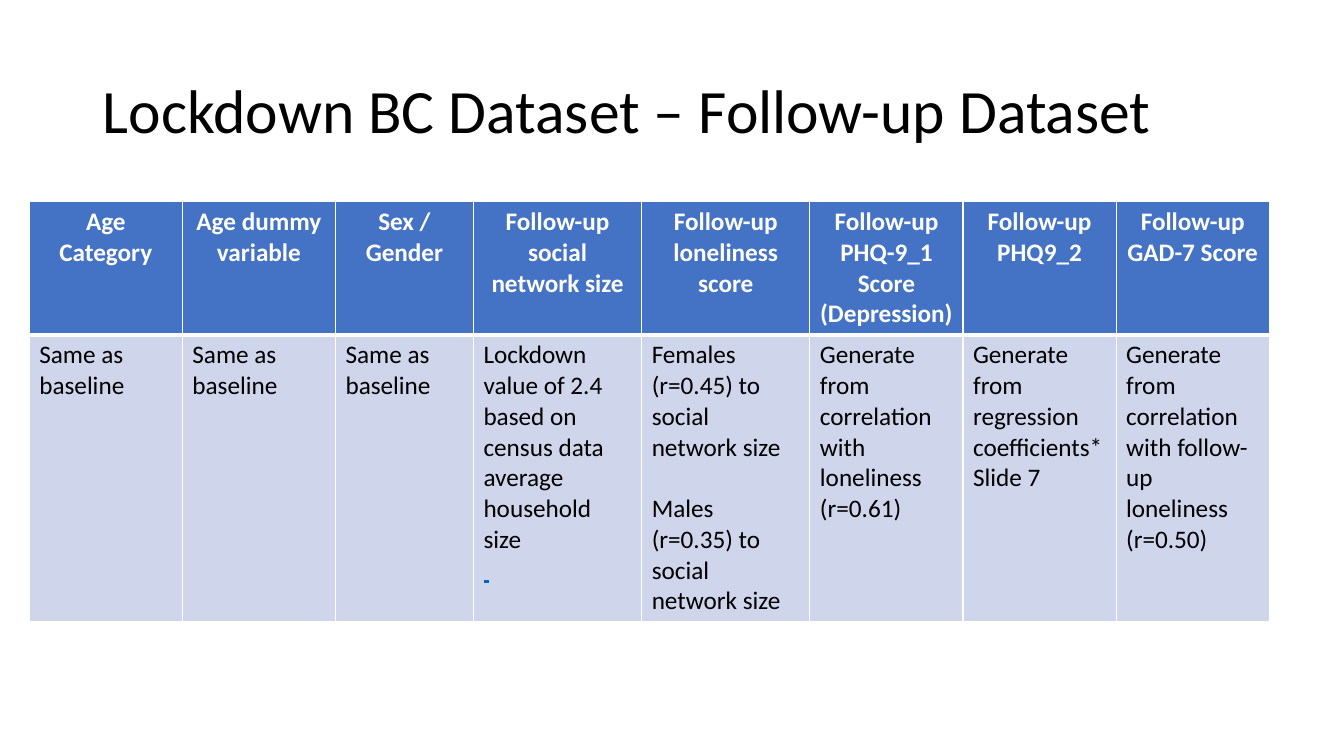
from dataclasses import dataclass

from lxml import etree
from pptx import Presentation
from pptx import util as u
from pptx.dml.color import RGBColor
from pptx.enum import text
from pptx.oxml import ns


@dataclass(frozen=True)
class Theme:
    font: str = "Calibri"
    title_size: int = 44
    table_size: int = 18
    ink: str = "000000"
    paper: str = "FFFFFF"
    header: str = "4472C4"
    body: str = "CFD5EA"
    link: str = "0563C1"
    rule: float = 1
    header_rule: float = 3
    blank_line: float = 22


THEME = Theme()
SLIDE_WIDTH, SLIDE_HEIGHT = 13.33, 7.5
TITLE_BOX = (0.92, 0.4, 11.5, 1.45)
TABLE_BOX = (0.29, 2, 12.3, 4.15)
HEADER_SHARE = 0.316

# Relative column width, header paragraphs, body paragraphs
COLUMNS = [
    (1.52, ["Age Category"], ["Same as baseline"]),
    (1.52, ["Age dummy variable"], ["Same as baseline"]),
    (1.37, ["Sex / Gender"], ["Same as baseline"]),
    (1.67, ["Follow-up social network size"],
     ["Lockdown value of 2.4 based on census data average household size", " "]),
    (1.67, ["Follow-up loneliness score"],
     ["Females (r=0.45) to social network size",
      "Males (r=0.35) to social network size"]),
    (1.52, ["Follow-up PHQ-9_1 Score", "(Depression)"],
     ["Generate from correlation with loneliness (r=0.61)"]),
    (1.52, ["Follow-up PHQ9_2"],
     ["Generate from regression coefficients* Slide 7"]),
    (1.52, ["Follow-up GAD-7 Score"],
     ["Generate from correlation with follow-up loneliness", "(r=0.50)"]),
]


def style_font(font, size, color, bold=False):
    font.name = THEME.font
    font.size = u.Pt(size)
    font.bold = bold
    font.color.rgb = RGBColor.from_string(color)


def add_title(slide, box, wording):
    title = slide.shapes.title
    title.left, title.top, title.width, title.height = map(u.Inches, box)
    frame = title.text_frame
    frame.text = wording
    frame.word_wrap = True
    frame.auto_size = text.MSO_AUTO_SIZE.NONE
    frame.vertical_anchor = text.MSO_ANCHOR.MIDDLE
    paragraph = frame.paragraphs[0]
    paragraph.alignment = text.PP_ALIGN.LEFT
    paragraph.line_spacing = 0.9
    style_font(paragraph.runs[0].font, THEME.title_size, THEME.ink)


def set_borders(cell, widths):
    """Draw the cell borders, given in the order left, right, top, bottom."""
    properties = cell._tc.get_or_add_tcPr()
    for side, width in zip("LRTB", widths):
        line = etree.SubElement(properties, ns.qn(f"a:ln{side}"), w=str(u.Pt(width)))
        fill = etree.SubElement(line, ns.qn("a:solidFill"))
        etree.SubElement(fill, ns.qn("a:srgbClr"), val=THEME.paper)


def fill_cell(cell, lines, is_header):
    rule, thick = THEME.rule, THEME.header_rule
    set_borders(cell, (rule, rule, rule, thick) if is_header else (rule, rule, thick, rule))
    cell.fill.solid()
    cell.fill.fore_color.rgb = RGBColor.from_string(THEME.header if is_header else THEME.body)
    cell.text_frame.text = "\n".join(lines)
    color = THEME.paper if is_header else THEME.ink
    for paragraph in cell.text_frame.paragraphs:
        paragraph.alignment = text.PP_ALIGN.CENTER if is_header else text.PP_ALIGN.LEFT
        for run in paragraph.runs:
            style_font(run.font, THEME.table_size, color, is_header)


def add_dataset_table(slide, box):
    left, top, width, height = map(u.Inches, box)
    table = slide.shapes.add_table(2, len(COLUMNS), left, top, width, height).table
    table.rows[0].height = int(height * HEADER_SHARE)
    table.rows[1].height = height - table.rows[0].height
    total = sum(share for share, _, _ in COLUMNS)

    for index, (share, header, body) in enumerate(COLUMNS):
        table.columns[index].width = int(width * share / total)
        fill_cell(table.cell(0, index), header, True)
        fill_cell(table.cell(1, index), body, False)

    # Underlined link mark below the network size
    mark = table.cell(1, 3).text_frame.paragraphs[1].runs[0].font
    mark.underline = True
    mark.color.rgb = RGBColor.from_string(THEME.link)

    # One line of space between females and males
    males = table.cell(1, 4).text_frame.paragraphs[1]
    males.space_before = u.Pt(THEME.blank_line)


def main():
    presentation = Presentation()
    presentation.slide_width = u.Inches(SLIDE_WIDTH)
    presentation.slide_height = u.Inches(SLIDE_HEIGHT)
    slide = presentation.slides.add_slide(presentation.slide_layouts[5])
    add_title(slide, TITLE_BOX, "Lockdown BC Dataset – Follow-up Dataset")
    add_dataset_table(slide, TABLE_BOX)
    presentation.save("out.pptx")


if __name__ == "__main__":
    main()
